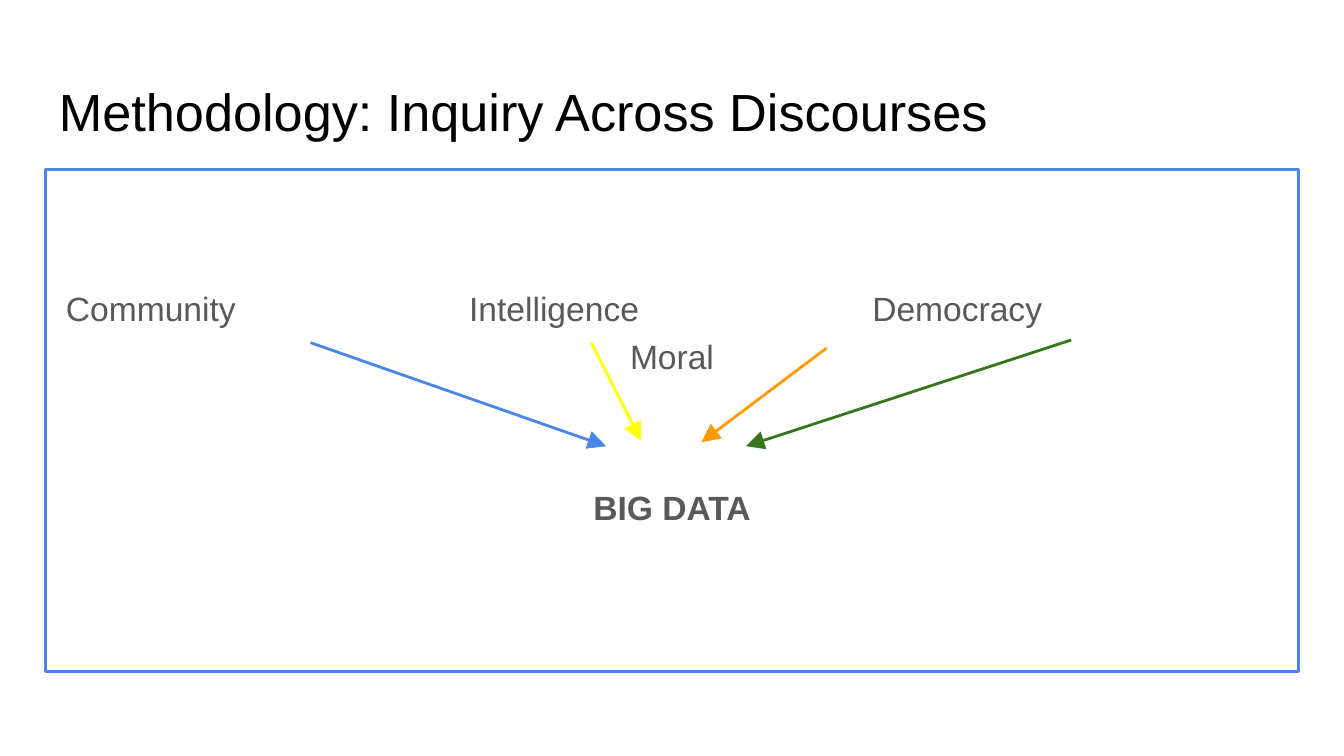
from lxml import etree
from pptx import Presentation
from pptx.dml.color import RGBColor
from pptx.enum.shapes import MSO_CONNECTOR, MSO_SHAPE
from pptx.enum.text import MSO_ANCHOR, PP_ALIGN
from pptx.oxml.ns import qn
from pptx.util import Inches, Pt

LINE = MSO_CONNECTOR.STRAIGHT
RECT = MSO_SHAPE.RECTANGLE
TOP = MSO_ANCHOR.TOP
LEFT, MID = PP_ALIGN.LEFT, PP_ALIGN.CENTER

WIDE = 10
HIGH = WIDE * 9 / 16
EDGE, SPAN = 0.34, 9.32
BLUE, GREY = "4A86E8", "595959"

# Start and end of each arrow, in percent of the panel's width and height
ARROWS = [
    (21.14, 34.49, 44.74, 55.08, BLUE),
    (43.56, 34.49, 47.53, 54.01, "FFFF00"),
    (62.34, 35.56, 52.36, 54.28, "FF9900"),
    (81.87, 33.96, 55.9, 55.08, "38761D"),
]


def paint(hue):
    return RGBColor.from_string(hue)


def set_frame(frame, side, top):
    frame.word_wrap = True
    frame.vertical_anchor = TOP
    frame.margin_left = frame.margin_right = Inches(side)
    frame.margin_top, frame.margin_bottom = Inches(top), Inches(0.1)


def set_font(para, size, hue, bold=False):
    font = para.font
    font.name, font.size, font.bold = "Arial", Pt(size), bold
    font.color.rgb = paint(hue)


def add_tabs(para, step, count):
    """Set evenly spaced tab stops."""
    stops = etree.SubElement(para._p.get_or_add_pPr(), qn("a:tabLst"))
    for i in range(1, count + 1):
        etree.SubElement(stops, qn("a:tab"),
                         pos=str(Inches(i * step)), algn="l")


def add_title(slide, box):
    frame = slide.shapes.add_textbox(*map(Inches, box)).text_frame
    set_frame(frame, 0.1, 0.1)
    frame.text = "Methodology: Inquiry Across Discourses"
    set_font(frame.paragraphs[0], 28, "000000")


def add_panel(slide, box):
    panel = slide.shapes.add_shape(RECT, *map(Inches, box))
    panel.shadow.inherit = False
    panel.fill.background()
    panel.line.color.rgb = paint(BLUE)
    panel.line.width = Pt(1.5)

    # Discourses above, shared subject below
    frame = panel.text_frame
    set_frame(frame, 0.15, 0.82)
    frame.text = "Community\tIntelligence\tDemocracy\nMoral\nBIG DATA"
    row, moral, data = paras = frame.paragraphs
    add_tabs(row, 3, 2)
    for para in paras:
        para.alignment = LEFT if para is row else MID
        para.line_spacing = 1.2
        set_font(para, 18, GREY, para is data)
    moral.space_after = Pt(55)


def add_arrows(slide, box):
    left, top, wide, high = box
    for x1, y1, x2, y2, hue in ARROWS:
        arrow = slide.shapes.add_connector(
            LINE,
            Inches(left + wide * x1 / 100), Inches(top + high * y1 / 100),
            Inches(left + wide * x2 / 100), Inches(top + high * y2 / 100))
        arrow.line.color.rgb = paint(hue)
        arrow.line.width = Pt(1.5)
        etree.SubElement(arrow.line._get_or_add_ln(), qn("a:tailEnd"),
                         type="triangle", w="lg", len="lg")
        etree.SubElement(arrow._element.spPr, qn("a:effectLst"))


def main():
    deck = Presentation()
    deck.slide_width, deck.slide_height = Inches(WIDE), Inches(HIGH)
    slide = deck.slides.add_slide(deck.slide_layouts[6])
    panel = (EDGE, 1.26, SPAN, 3.74)
    add_title(slide, (EDGE, 0.49, SPAN, 0.63))
    add_panel(slide, panel)
    add_arrows(slide, panel)
    deck.save("out.pptx")


if __name__ == "__main__":
    main()
